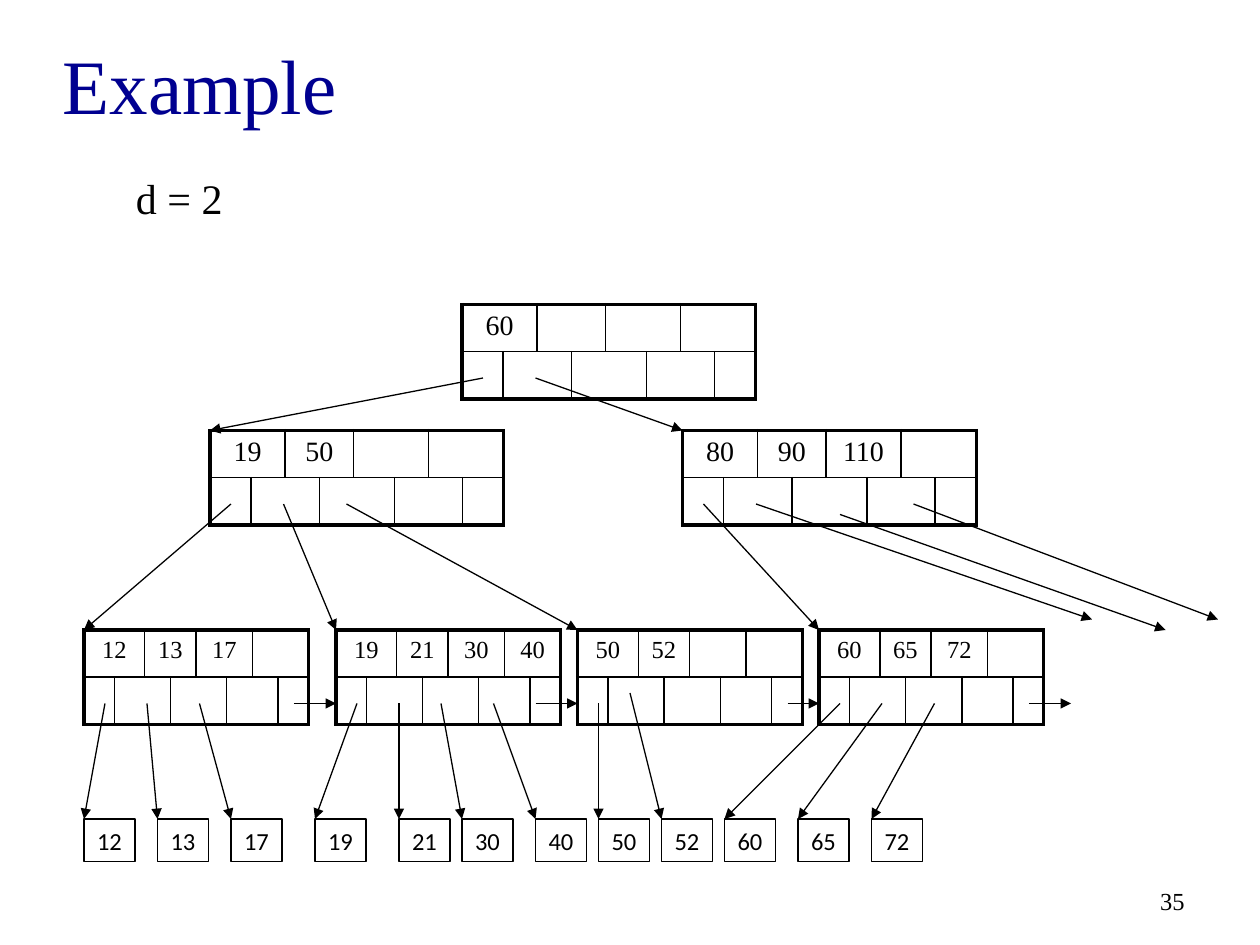
"""Build a slide with an example B+ tree of order d = 2."""
from lxml.etree import SubElement
from pptx import Presentation
from pptx.dml.color import RGBColor
from pptx.enum.shapes import MSO_CONNECTOR, MSO_SHAPE
from pptx.enum.text import MSO_ANCHOR, PP_ALIGN
from pptx.oxml.ns import qn
from pptx.util import Pt

COLORS = {"title": "000090", "ink": "000000"}
SERIF = "Times New Roman"
ROW_HEIGHT = 27
LEAF_TOP, LEAF_POINTER, VALUE_TOP = 360, 402, 468

deck = Presentation()
deck.slide_width, deck.slide_height = Pt(720), Pt(540)
page = deck.slides.add_slide(deck.slide_layouts[6])


def write(frame, text, size, font=SERIF, color="ink", align=PP_ALIGN.LEFT):
    para = frame.paragraphs[0]
    para.alignment = align
    span = para.add_run()
    span.text = text
    span.font.size = Pt(size)
    span.font.name = font
    span.font.color.rgb = RGBColor.from_string(COLORS[color])


def add_arrow(start_x, start_y, end_x, end_y):
    arrow = page.shapes.add_connector(
        MSO_CONNECTOR.STRAIGHT, Pt(start_x), Pt(start_y), Pt(end_x), Pt(end_y))
    arrow.line.color.rgb = RGBColor.from_string(COLORS["ink"])
    arrow.line.width = Pt(0.75)
    SubElement(arrow.line._get_or_add_ln(), qn("a:tailEnd"), type="triangle")
    SubElement(arrow._element.spPr, qn("a:effectLst"))


captions = [
    ("35", 516, 500.4, 168, 28.8, 14, "ink", PP_ALIGN.RIGHT, MSO_ANCHOR.MIDDLE, True),
    ("Example", 28.8, 8, 648, 80, 44, "title", PP_ALIGN.LEFT, MSO_ANCHOR.MIDDLE, True),
    ("d = 2", 70.6, 95, 64, 36, 24, "ink", PP_ALIGN.LEFT, MSO_ANCHOR.TOP, False),
]
for text, left, top, width, height, size, color, align, anchor, wrap in captions:
    box = page.shapes.add_textbox(Pt(left), Pt(top), Pt(width), Pt(height))
    box.text_frame.word_wrap = wrap
    box.text_frame.vertical_anchor = anchor
    write(box.text_frame, text, size, color=color, align=align)

inner_style = {"wide": 23.5, "narrow": 19.5, "size": 16}
leaf_style = {"wide": 17.5, "narrow": 14.7, "size": 14}
nodes = [
    (264, 174, inner_style, ["60"]),
    (120, 246, inner_style, ["19", "50"]),
    (390, 246, inner_style, ["80", "90", "110"]),
    (48, LEAF_TOP, leaf_style, ["12", "13", "17"]),
    (192, LEAF_TOP, leaf_style, ["19", "21", "30", "40"]),
    (330, LEAF_TOP, leaf_style, ["50", "52"]),
    (468, LEAF_TOP, leaf_style, ["60", "65", "72"]),
]
key_spans = [(0, 1), (2, 3), (4, 5), (6, 7)]
pointer_spans = [(0, 0), (1, 2), (3, 4), (5, 6), (7, 7)]
slots = [(0, *ends) for ends in key_spans] + [(1, *ends) for ends in pointer_spans]

for left, top, style, keys in nodes:
    widths = [style["wide"] if column in (0, 4, 7) else style["narrow"] for column in range(8)]
    frame = page.shapes.add_table(
        2, 8, Pt(left), Pt(top), Pt(sum(widths)), Pt(2 * ROW_HEIGHT))
    table = frame.table
    table.first_row = table.horz_banding = False
    for column, width in zip(table.columns, widths):
        column.width = Pt(width)
    for row in table.rows:
        row.height = Pt(ROW_HEIGHT)
    for row, first, last in slots:
        if last > first:
            table.cell(row, first).merge(table.cell(row, last))
        outer_edges = {"lnL": first == 0, "lnR": last == 7, "lnT": row == 0, "lnB": row == 1}
        for column in range(first, last + 1):
            cell = table.cell(row, column)
            cell.margin_bottom = 0
            properties = cell._tc.get_or_add_tcPr()
            for edge, is_outer in outer_edges.items():
                if edge == "lnL" and column > first:
                    continue
                border = SubElement(
                    properties, qn(f"a:{edge}"), w=str(Pt(2.25 if is_outer else 1)))
                fill = SubElement(border, qn("a:solidFill"))
                SubElement(fill, qn("a:srgbClr"), val=COLORS["ink"])
            cell.fill.background()
    for key, (first, last) in zip(keys, key_spans):
        write(table.cell(0, first).text_frame, key, style["size"], align=PP_ALIGN.CENTER)

node_arrows = [
    (276, 216, 120, 246), (306, 216, 390, 246),
    (132, 288, 48, 360), (162, 288, 192, 360), (198, 288, 330, 360),
    (402, 288, 468, 360), (432, 288, 624, 354), (480, 294, 666, 360), (522, 288, 696, 354),
]
for ends in node_arrows:
    add_arrow(*ends)
for start, end in [(168, 192), (306, 330), (450, 468), (588, 612)]:
    add_arrow(start, LEAF_POINTER, end, LEAF_POINTER)

values = [
    ("12", 48, 60, 402), ("13", 90, 84, 402), ("17", 132, 114, 402),
    ("19", 180, 204, 402), ("21", 228, 228, 402), ("30", 264, 252, 402),
    ("40", 306, 282, 402), ("50", 342, 342, 402), ("52", 378, 360, 396),
    ("60", 414, 480, 402), ("65", 456, 504, 402), ("72", 498, 534, 402),
]
for value, left, pointer_x, pointer_y in values:
    box = page.shapes.add_shape(
        MSO_SHAPE.RECTANGLE, Pt(left), Pt(VALUE_TOP), Pt(29.2), Pt(24.5))
    box.shadow.inherit = False
    box.fill.background()
    box.line.color.rgb = RGBColor.from_string(COLORS["ink"])
    box.line.width = Pt(0.75)
    box.text_frame.word_wrap = False
    box.text_frame.vertical_anchor = MSO_ANCHOR.MIDDLE
    write(box.text_frame, value, 14, font="Calibri", align=PP_ALIGN.CENTER)
    add_arrow(pointer_x, pointer_y, left, VALUE_TOP)

deck.save("out.pptx")
